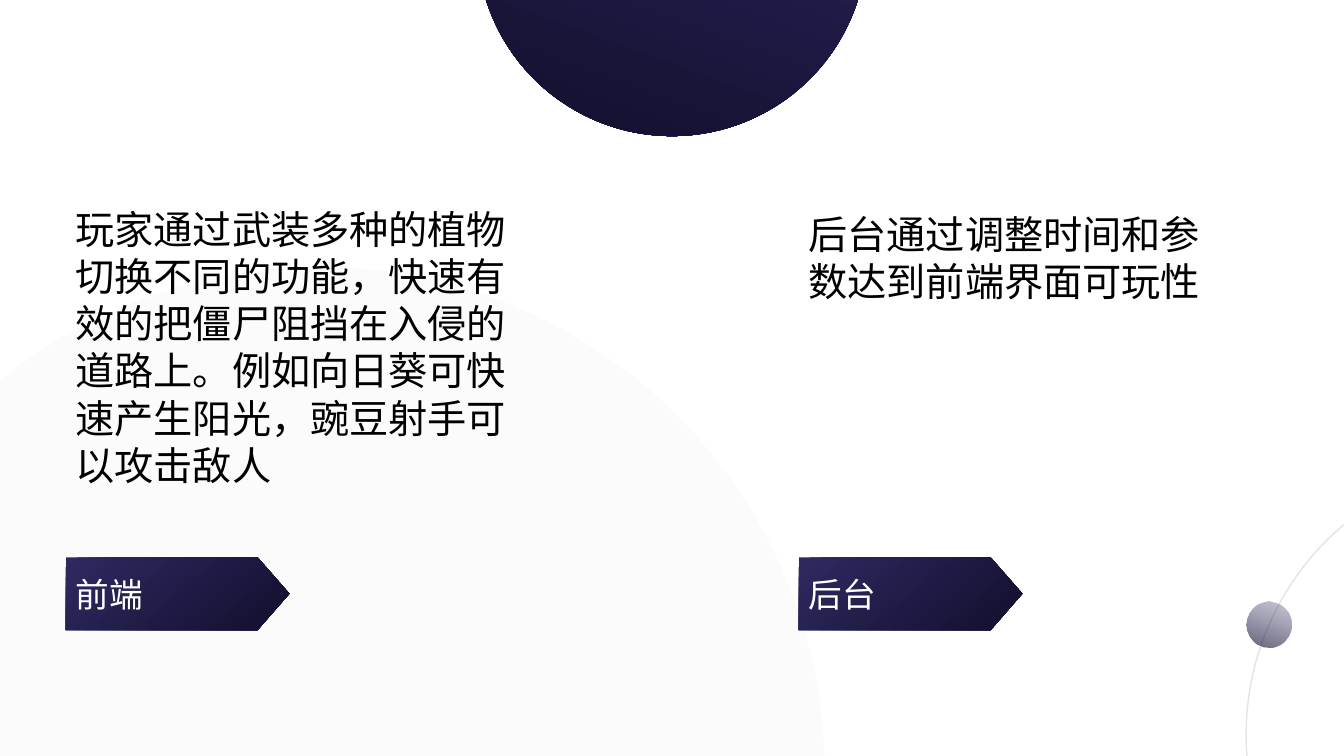
from lxml import etree
from pptx import Presentation
from pptx.dml.color import RGBColor
from pptx.enum.shapes import MSO_SHAPE
from pptx.enum.text import MSO_ANCHOR, MSO_AUTO_SIZE, PP_ALIGN
from pptx.oxml.ns import qn
from pptx.util import Inches, Pt

ELLIPSE = MSO_SHAPE.OVAL
ARROW = MSO_SHAPE.PENTAGON
MIDDLE = MSO_ANCHOR.MIDDLE
GROW = MSO_AUTO_SIZE.SHAPE_TO_FIT_TEXT
LEFT = PP_ALIGN.LEFT

INDIGO = RGBColor(0x2E, 0x29, 0x61)
NIGHT = RGBColor(0x12, 0x0F, 0x2D)
PALE = RGBColor(0xF2, 0xF2, 0xF2)
GREY = RGBColor(0xA6, 0xA6, 0xA6)
BLACK = RGBColor(0, 0, 0)
WHITE = RGBColor(0xFF, 0xFF, 0xFF)
FONT = "Noto Sans CJK SC"


def add_figure(kind, left, top, width, height, angle=None, opacities=()):
    """Add a shape, with a dark gradient if an angle (clockwise) is given."""
    shape = page.shapes.add_shape(
        kind, Inches(left), Inches(top), Inches(width), Inches(height))
    shape.shadow.inherit = False
    shape.line.fill.background()
    if angle is not None:
        shape.fill.gradient()
        shape.fill.gradient_angle = 360 - angle
        for stop, color in zip(shape.fill.gradient_stops, (INDIGO, NIGHT)):
            stop.color.rgb = color
    set_opacities(shape, opacities)
    return shape


def set_opacities(shape, opacities):
    """Set the opacity, in percent, of the shape's colours in order."""
    colors = shape._element.spPr.iter(qn("a:srgbClr"))
    for color, opacity in zip(list(colors), opacities):
        etree.SubElement(color, qn("a:alpha"), val=str(opacity * 1000))


deck = Presentation()
deck.slide_width = Inches(13.33)
deck.slide_height = Inches(7.5)
page = deck.slides.add_slide(deck.slide_layouts[6])

# Decorative circles
add_figure(ELLIPSE, 4.73, -2.52, 3.87, 3.87, 110)

ring = add_figure(ELLIPSE, 12.36, 4.57, 5.43, 5.43)
ring.fill.background()
ring.line.color.rgb = GREY
ring.line.width = Pt(1)
set_opacities(ring, [30])

add_figure(ELLIPSE, 12.36, 5.97, 0.45, 0.45, 110, [26, 65])

disc = add_figure(ELLIPSE, -1.85, 2.65, 10.03, 10.03)
disc.fill.solid()
disc.fill.fore_color.rgb = PALE
set_opacities(disc, [29])

# Two columns: a description above an arrow label
columns = [
    (0.65, 1.99, 4.63, 2.93, "前端",
     "玩家通过武装多种的植物切换不同的功能，快速有效的把僵尸阻挡在入侵的道路上。"
     "例如向日葵可快速产生阳光，豌豆射手可以攻击敌人"),
    (7.92, 2.04, 4.33, 1.04, "后台",
     "后台通过调整时间和参数达到前端界面可玩性"),
]
for left, top, width, height, label, description in columns:
    box = page.shapes.add_textbox(
        Inches(left), Inches(top), Inches(width), Inches(height))
    box.text_frame.word_wrap = True
    box.text_frame.auto_size = GROW

    arrow = add_figure(ARROW, left, 5.53, 2.22, 0.72, 50)
    arrow.adjustments[0] = 0.437
    arrow.text_frame.word_wrap = False
    arrow.text_frame.vertical_anchor = MIDDLE

    for holder, text, size, color in ((box, description, 28, BLACK),
                                      (arrow, label, 24, WHITE)):
        para = holder.text_frame.paragraphs[0]
        para.text = text
        para.alignment = LEFT
        para.font.size = Pt(size)
        para.font.color.rgb = color
        para.font.name = FONT
        # East Asian typeface for the Chinese text
        etree.SubElement(para.font._element, qn("a:ea"), typeface=FONT)

deck.save("out.pptx")
